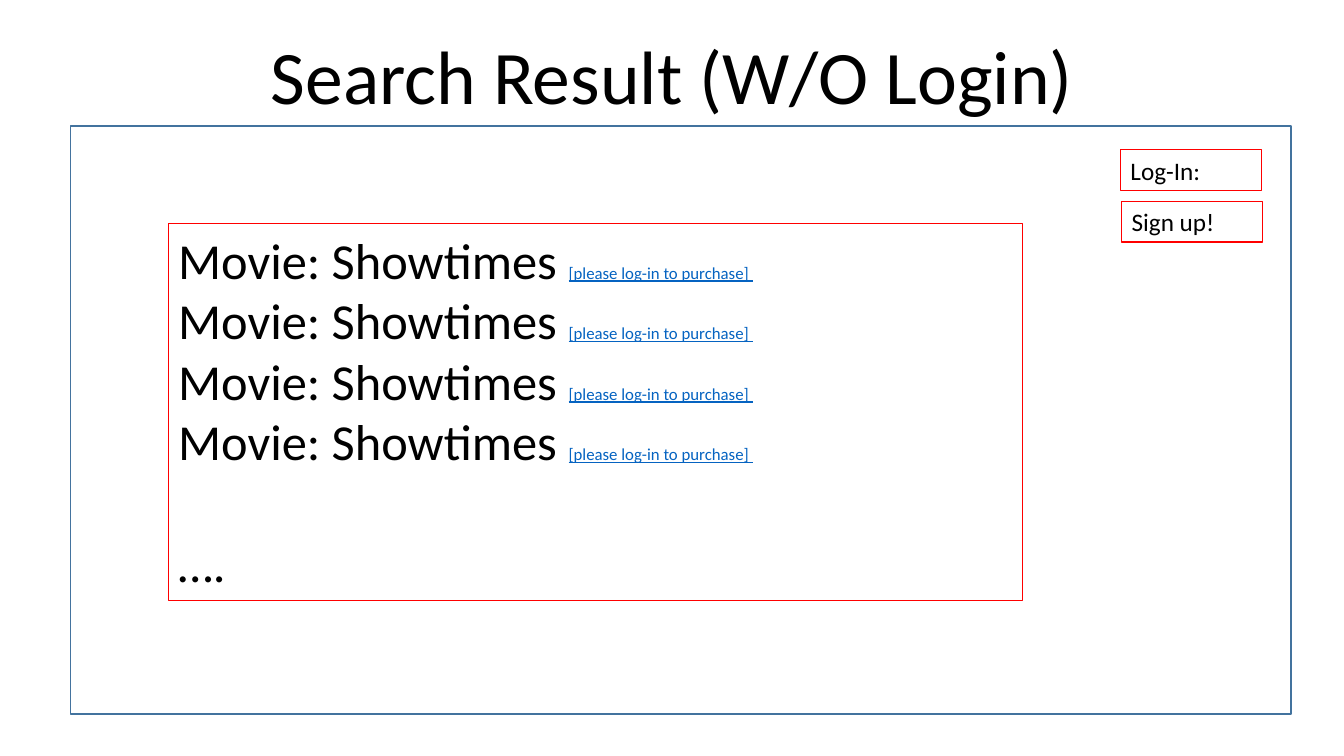
"""Build the wireframe slide of the search result page without login."""
from dataclasses import dataclass

import pptx
import pptx.dml.color
import pptx.enum.shapes
import pptx.enum.text
import pptx.util

ALIGN = pptx.enum.text.PP_ALIGN
ANCHOR = pptx.enum.text.MSO_ANCHOR
BLACK, LINK_BLUE, FRAME_BLUE, RED = "000000", "0563C1", "43739E", "FF0000"


@dataclass(frozen=True)
class Phrase:
    text: str
    size: float
    color: str = BLACK
    underline: bool = False


@dataclass(frozen=True)
class Line:
    phrases: tuple[Phrase, ...]
    space_before: float = 0
    line_spacing: float = 1.0
    alignment: ALIGN = ALIGN.LEFT


@dataclass(frozen=True)
class Panel:
    left: float
    top: float
    width: float
    height: float
    outline: str | None = None
    weight: float = 0.75
    lines: tuple[Line, ...] = ()
    anchor: ANCHOR = ANCHOR.TOP


def rgb(value: str) -> pptx.dml.color.RGBColor:
    """Turn a hex string into a colour."""
    return pptx.dml.color.RGBColor.from_string(value)


def apply_format(target: object, values: dict[str, object]) -> None:
    """Set each named attribute on the target."""
    for name, value in values.items():
        setattr(target, name, value)


def write_lines(frame: pptx.text.text.TextFrame, panel: Panel) -> None:
    """Write the lines of a panel into its text frame."""
    apply_format(frame, {"word_wrap": True, "vertical_anchor": panel.anchor})
    for index, line in enumerate(panel.lines):
        paragraph = frame.add_paragraph() if index else frame.paragraphs[0]
        apply_format(paragraph, {
            "alignment": line.alignment,
            "line_spacing": line.line_spacing,
            "space_before": pptx.util.Pt(line.space_before),
        })
        for phrase in line.phrases:
            run = paragraph.add_run()
            run.text = phrase.text
            apply_format(run.font, {
                "name": "Calibri",
                "size": pptx.util.Pt(phrase.size),
                "underline": phrase.underline,
            })
            run.font.color.rgb = rgb(phrase.color)


def draw_panel(slide: pptx.slide.Slide, panel: Panel) -> None:
    """Draw an outlined rectangle, or a plain text box if it has no outline."""
    box = [pptx.util.Cm(v) for v in (panel.left, panel.top, panel.width, panel.height)]
    if panel.outline is None:
        shape = slide.shapes.add_textbox(*box)
    else:
        shape = slide.shapes.add_shape(pptx.enum.shapes.MSO_SHAPE.RECTANGLE, *box)
        shape.shadow.inherit = False
        shape.fill.background()
        shape.line.color.rgb = rgb(panel.outline)
        shape.line.width = pptx.util.Pt(panel.weight)
    write_lines(shape.text_frame, panel)


SHOWTIME = Line((
    Phrase("Movie: Showtimes ", 36),
    Phrase("[please log-in to purchase] ", 12, LINK_BLUE, True),
))
MORE_RESULTS = Line((Phrase("….", 36),), space_before=44)
TITLE = Line((Phrase("Search Result (W/O Login)", 54),),
             line_spacing=0.9, alignment=ALIGN.CENTER)

PANELS = (
    Panel(4.24, 1.52, 25.4, 1.65, lines=(TITLE,), anchor=ANCHOR.BOTTOM),
    Panel(1.78, 3.18, 30.76, 14.81, FRAME_BLUE, 1),
    Panel(28.24, 3.78, 3.56, 1.02, RED, lines=(Line((Phrase("Log-In:", 18),)),)),
    Panel(4.24, 5.64, 21.54, 9.5, RED, lines=(SHOWTIME,) * 4 + (MORE_RESULTS,)),
    Panel(28.27, 5.08, 3.56, 1.02, RED, lines=(Line((Phrase("Sign up!", 18),)),)),
)


def main() -> None:
    """Create the presentation and save it."""
    deck = pptx.Presentation()
    apply_format(deck, {
        "slide_width": pptx.util.Cm(33.87),
        "slide_height": pptx.util.Cm(19.05),
    })
    slide = deck.slides.add_slide(deck.slide_layouts[6])
    for panel in PANELS:
        draw_panel(slide, panel)
    deck.save("out.pptx")


if __name__ == "__main__":
    main()
